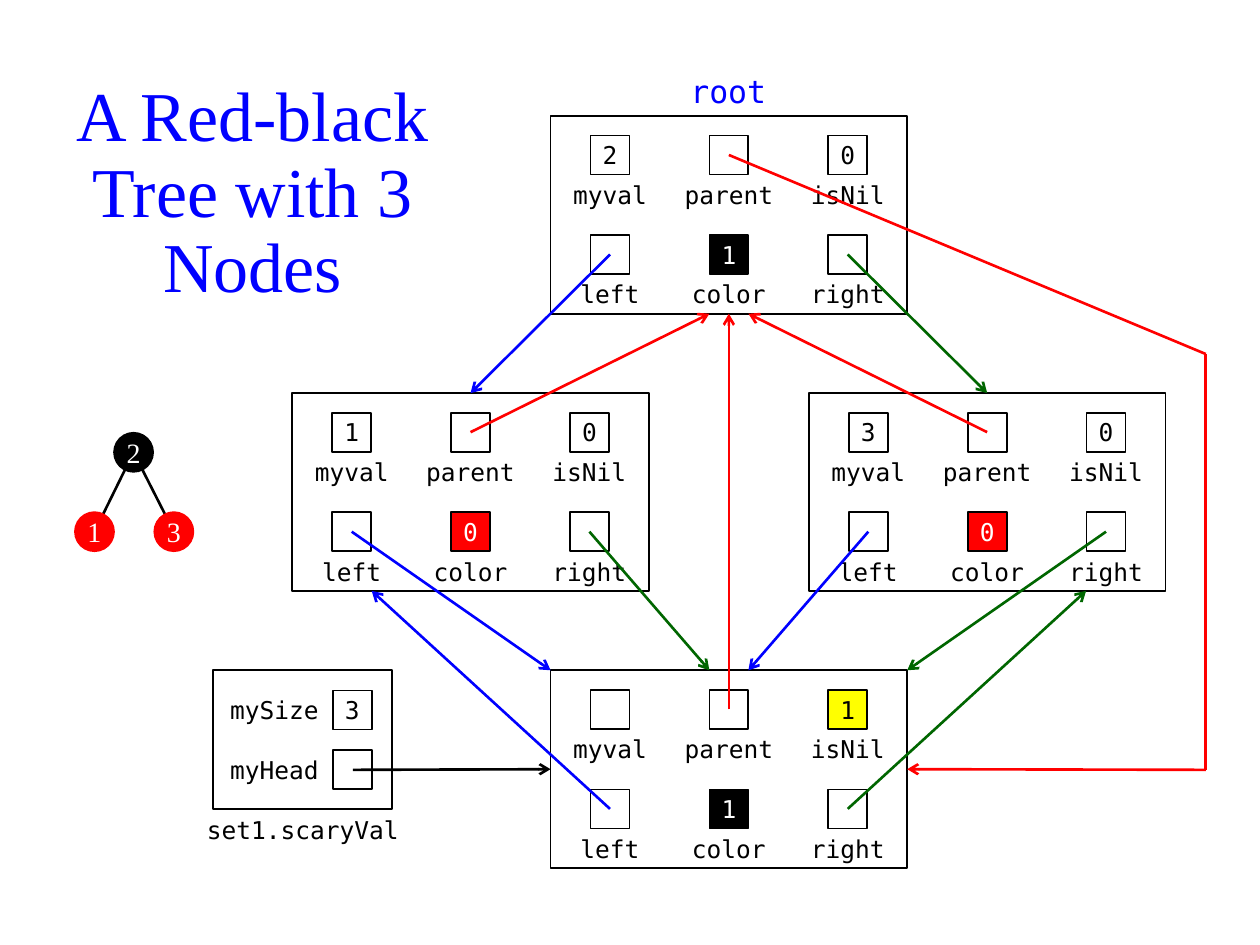
from lxml.etree import SubElement
from pptx import Presentation
from pptx.dml.color import RGBColor
from pptx.enum.shapes import MSO_CONNECTOR, MSO_SHAPE
from pptx.enum.text import MSO_ANCHOR, PP_ALIGN
from pptx.oxml.ns import qn
from pptx.util import Inches, Pt

COLORS = {
    "white": "FFFFFF", "black": "000000", "red": "FF0000",
    "blue": "0000FF", "green": "006600", "yellow": "FFFF00",
}
MONO, SERIF = "DejaVu Sans Mono", "Times New Roman"
TOP, LEFT, BOTTOM, RIGHT = range(4)
CELL = 0.31
NODE_W, NODE_H = 2.83, 1.57

prs = Presentation()
prs.slide_width, prs.slide_height = Inches(10), Inches(7.5)
slide = prs.slides.add_slide(prs.slide_layouts[6])


def add_block(x, y, w, h, text="", fill=None, outline="black", kind=MSO_SHAPE.RECTANGLE,
              ink="black", size=14, face=MONO, align=PP_ALIGN.CENTER):
    """Add a filled shape, or a plain text box when fill is None."""
    area = [Inches(v) for v in (x, y, w, h)]
    if fill:
        block = slide.shapes.add_shape(kind, *area)
        block.shadow.inherit = False
        block.fill.solid()
        block.fill.fore_color.rgb = RGBColor.from_string(COLORS[fill])
        block.line.color.rgb = RGBColor.from_string(COLORS[outline])
        block.line.width = Pt(1)
    else:
        block = slide.shapes.add_textbox(*area)
    frame = block.text_frame
    frame.word_wrap = True
    frame.vertical_anchor = MSO_ANCHOR.MIDDLE
    frame.margin_left = frame.margin_right = frame.margin_top = frame.margin_bottom = 0
    if text:
        paragraph = frame.paragraphs[0]
        paragraph.text = text
        paragraph.alignment = align
        paragraph.font.name, paragraph.font.size = face, Pt(size)
        paragraph.font.color.rgb = RGBColor.from_string(COLORS[ink])
    return block


def add_link(start, end, color="black", arrow=True, target=None, side=None):
    """Draw a line, joined to a side of target when one is given."""
    link = slide.shapes.add_connector(
        MSO_CONNECTOR.STRAIGHT, *[Inches(v) for v in (*start, *end)])
    if target is not None:
        link.end_connect(target, side)
    link.line.color.rgb = RGBColor.from_string(COLORS[color])
    link.line.width = Pt(1.5)
    if arrow:
        SubElement(link.line._get_or_add_ln(), qn("a:tailEnd"), type="arrow")
    SubElement(link._element.spPr, qn("a:effectLst"))


# Title
title = add_block(0.53, 0.6, 2.95, 1.89, "A Red-black Tree with 3 Nodes",
                  ink="blue", size=40, face=SERIF)
title.text_frame.paragraphs[0].line_spacing = 0.9
add_block(5.31, 0.57, 0.94, 0.31, "root", ink="blue", size=18)

# Nodes: two rows of three labelled fields
fields = [["myval", "parent", "isNil"], ["left", "color", "right"]]
nodes = {  # x, y, myval, isNil, color, fill of color, fill of isNil
    "head": (4.37, 5.32, "", "1", "1", "black", "yellow"),
    "root": (4.37, 0.92, "2", "0", "1", "black", "white"),
    "right": (6.42, 3.12, "3", "0", "0", "red", "white"),
    "left": (2.32, 3.12, "1", "0", "0", "red", "white"),
}
frames, centers = {}, {}
for node, (x, y, myval, is_nil, color, color_fill, nil_fill) in nodes.items():
    frames[node] = add_block(x, y, NODE_W, NODE_H, fill="white")
    values = {"myval": myval, "isNil": is_nil, "color": color}
    fills = {"color": color_fill, "isNil": nil_fill}
    for row, names in enumerate(fields):
        for column, field in enumerate(names):
            cx = x + NODE_W / 6 * (2 * column + 1)
            cy = y + 0.31 + 0.79 * row
            centers[node, field] = cx, cy
            add_block(cx - CELL / 2, cy - CELL / 2, CELL, CELL, values.get(field, ""),
                      fill=fills.get(field, "white"),
                      ink="white" if field == "color" else "black")
            add_block(cx - 0.47, cy + 0.16, 0.94, 0.31, field)

# Set object
add_block(1.69, 5.32, 1.42, 1.1, fill="white")
add_block(1.54, 6.43, 1.73, 0.31, "set1.scaryVal")
for y, member, value in [(5.48, "mySize", "3"), (5.95, "myHead", "")]:
    add_block(1.69, y, 0.84, CELL, member, align=PP_ALIGN.RIGHT)
    add_block(2.64, y, CELL, CELL, value, fill="white")
add_link((2.8, 6.11), (4.37, 6.11), target=frames["head"], side=LEFT)

# Pointers that meet the middle of a node's side
for node, field, target, side, color in [
    ("head", "parent", "root", BOTTOM, "red"),
    ("root", "left", "left", TOP, "blue"),
    ("root", "right", "right", TOP, "green"),
]:
    start = centers[node, field]
    add_link(start, start, color, target=frames[target], side=side)

# Pointers that meet a node elsewhere
for node, field, end, color in [
    ("head", "left", (2.95, 4.69), "blue"),
    ("head", "right", (8.62, 4.69), "green"),
    ("left", "parent", (5.63, 2.49), "red"),
    ("right", "parent", (5.94, 2.49), "red"),
    ("left", "left", (4.37, 5.32), "blue"),
    ("left", "right", (5.63, 5.32), "green"),
    ("right", "left", (5.94, 5.32), "blue"),
    ("right", "right", (7.2, 5.32), "green"),
]:
    add_link(centers[node, field], end, color)

# The root's parent pointer goes round the right-hand node
add_link(centers["root", "parent"], (9.57, 2.81), "red", arrow=False)
add_link((9.57, 2.81), (9.57, 6.11), "red", arrow=False)
add_link((9.57, 6.11), (7.2, 6.11), "red", target=frames["head"], side=RIGHT)

# Small tree
small_tree = [(1.06, 3.59, "2", "black"), (0.75, 4.22, "1", "red"), (1.38, 4.22, "3", "red")]
for cx, cy, _, _ in small_tree[1:]:
    add_link(small_tree[0][:2], (cx, cy), arrow=False)
for cx, cy, value, color in small_tree:
    add_block(cx - CELL / 2, cy - CELL / 2, CELL, CELL, value, fill=color, outline=color,
              kind=MSO_SHAPE.OVAL, ink="white", size=16, face=SERIF)

prs.save("out.pptx")
